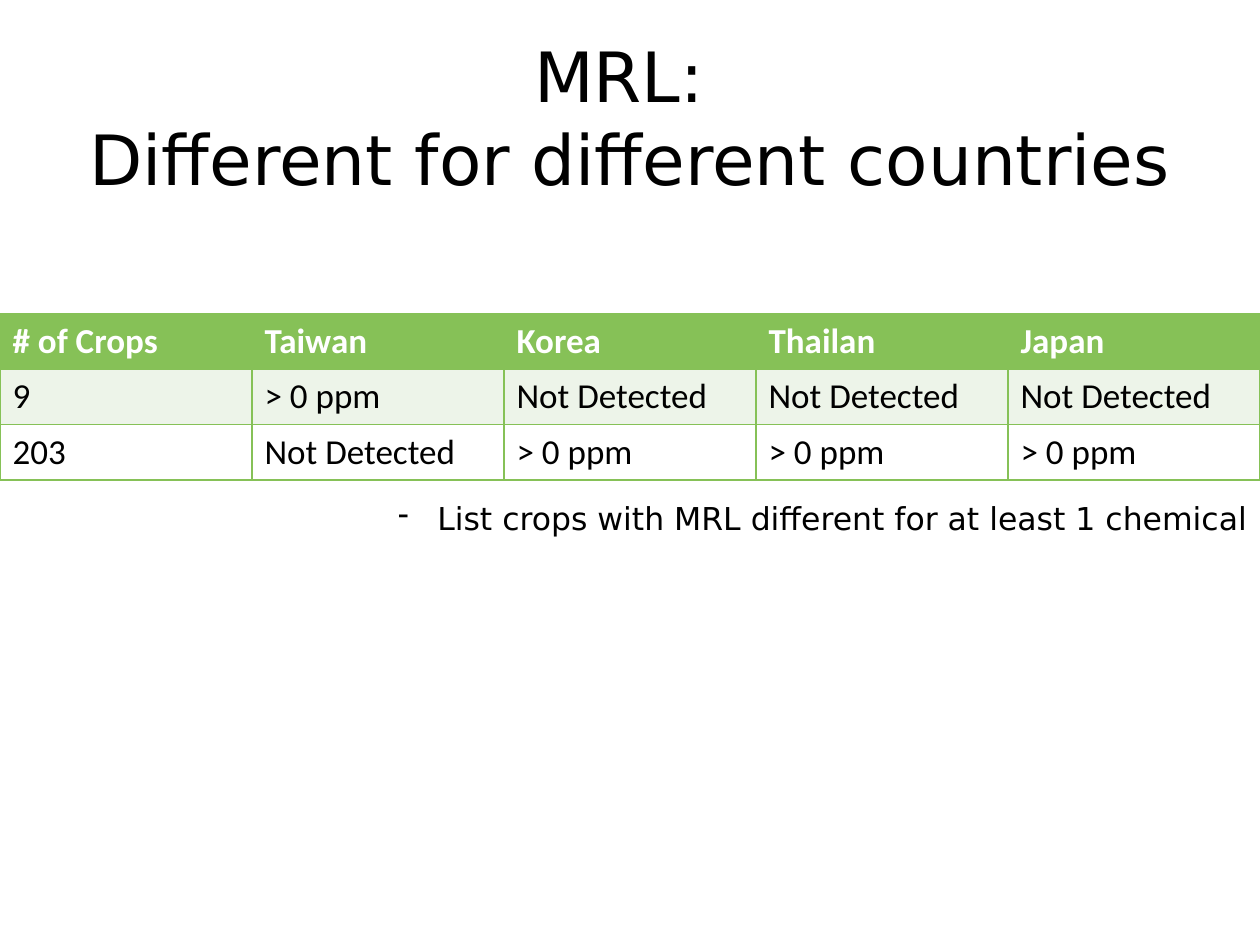
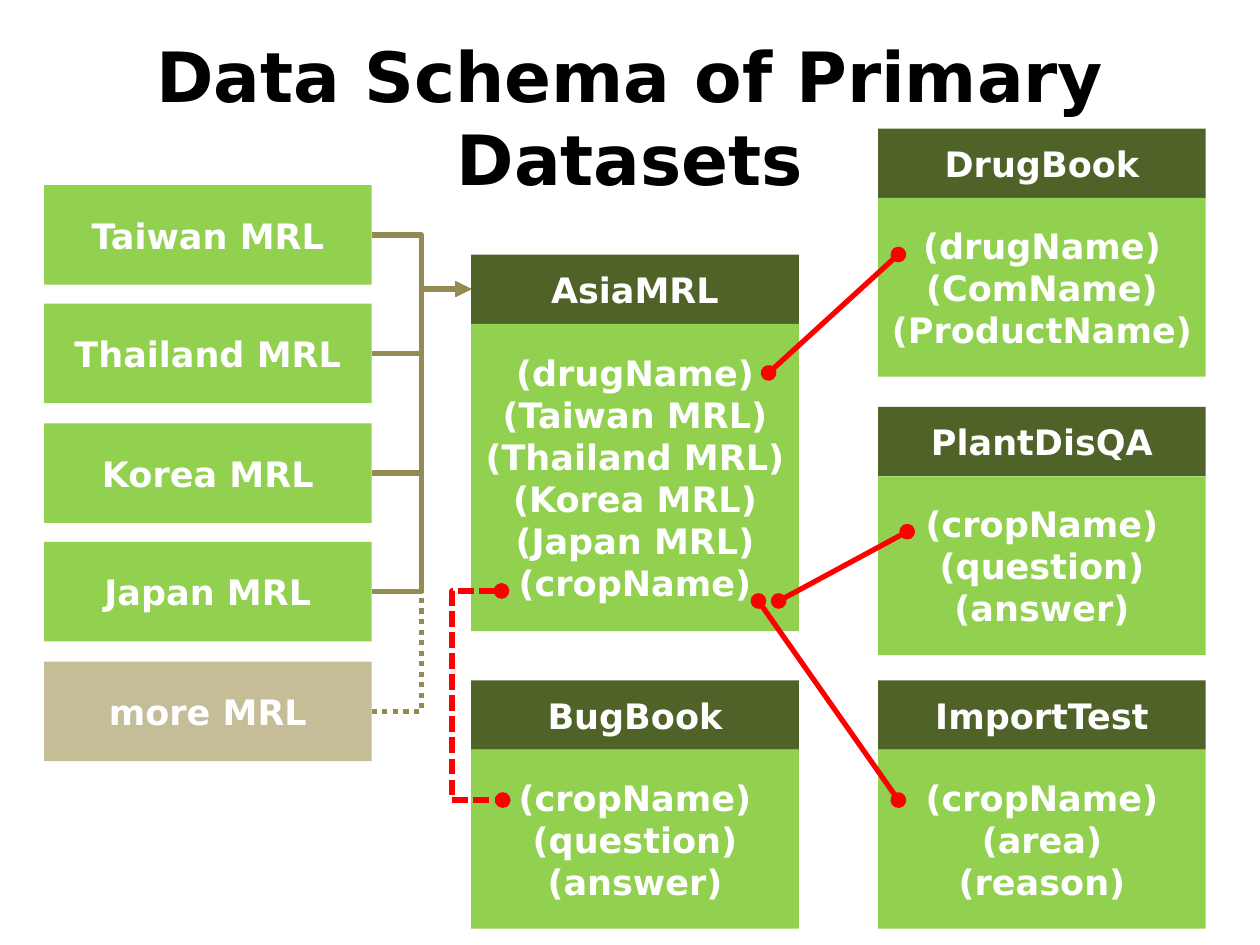
from lxml import etree
from pptx import Presentation
from pptx.dml.color import RGBColor
from pptx.enum.dml import MSO_LINE
from pptx.enum.shapes import MSO_CONNECTOR, MSO_SHAPE
from pptx.enum.text import MSO_ANCHOR, MSO_AUTO_SIZE, PP_ALIGN
from pptx.oxml.ns import qn
from pptx.util import Emu, Pt

EMU_PER_PX = 9144
SLIDE_WIDTH, SLIDE_HEIGHT = 1000, 750

BLACK = RGBColor(0x00, 0x00, 0x00)
WHITE = RGBColor(0xFF, 0xFF, 0xFF)
TABLE_GREEN = RGBColor(0x86, 0xC1, 0x57)
TABLE_BAND = RGBColor(0xED, 0xF4, 0xE9)
LIGHT_GREEN = RGBColor(0x92, 0xD0, 0x50)
DARK_GREEN = RGBColor(0x4F, 0x62, 0x28)
SAND = RGBColor(0xC4, 0xBD, 0x97)
BROWN = RGBColor(0x94, 0x8A, 0x54)
RED = RGBColor(0xFF, 0x00, 0x00)

LEFT, CENTER, RIGHT = PP_ALIGN.LEFT, PP_ALIGN.CENTER, PP_ALIGN.RIGHT
MIDDLE = MSO_ANCHOR.MIDDLE
FIT_SHAPE = MSO_AUTO_SIZE.SHAPE_TO_FIT_TEXT
RECTANGLE = MSO_SHAPE.RECTANGLE
STRAIGHT, ELBOW = MSO_CONNECTOR.STRAIGHT, MSO_CONNECTOR.ELBOW
DASHED, DOTTED = MSO_LINE.SQUARE_DOT, MSO_LINE.ROUND_DOT
LEFT_SIDE, RIGHT_SIDE = 1, 3

BOX_WIDTH = 260
HEADER_HEIGHT = 55
COUNTRY_LEFT, CENTER_LEFT, RIGHT_LEFT = 35, 374, 697
COUNTRY_TOP, COUNTRY_HEIGHT = 147, 79

CROP_ROWS = [
    ["# of Crops", "Taiwan", "Korea", "Thailan", "Japan"],
    ["9", "> 0 ppm", "Not Detected", "Not Detected", "Not Detected"],
    ["203", "Not Detected", "> 0 ppm", "> 0 ppm", "> 0 ppm"],
]
COUNTRIES = ["Taiwan", "Thailand", "Korea", "Japan", "more"]
ASIA_FIELDS = ["(drugName)", "(Taiwan MRL)", "(Thailand MRL)",
               "(Korea MRL)", "(Japan MRL)", "(cropName)"]
DATASETS = [
    (RIGHT_LEFT, 102, "DrugBook", ["(drugName)", "(ComName)", "(ProductName)"]),
    (RIGHT_LEFT, 323, "PlantDisQA", ["(cropName)", "(question)", "(answer)"]),
    (CENTER_LEFT, 540, "BugBook", ["(cropName)", "(question)", "(answer)"]),
    (RIGHT_LEFT, 540, "ImportTest", ["(cropName)", "(area)", "(reason)"]),
]
FIELD_LINKS = [
    ((610, 296), (713, 202)),
    ((618, 477), (720, 422)),
    ((602, 477), (713, 635)),
]


def px(*lengths):
    return [Emu(length * EMU_PER_PX) for length in lengths]


class Deck:
    text_font = "DejaVu Sans"
    table_font = "Calibri"

    def __init__(self):
        self.presentation = Presentation()
        self.presentation.slide_width, self.presentation.slide_height = px(
            SLIDE_WIDTH, SLIDE_HEIGHT)
        self.slide = None

    def add_slide(self):
        self.slide = self.presentation.slides.add_slide(
            self.presentation.slide_layouts[6])

    def fill_text(self, frame, lines, size, color, bold=False, align=CENTER,
                  font=text_font):
        frame.word_wrap = True
        for index, line in enumerate(lines):
            paragraph = frame.add_paragraph() if index else frame.paragraphs[0]
            paragraph.text = line
            paragraph.alignment = align
            paragraph.font.name = font
            paragraph.font.size = Pt(size)
            paragraph.font.bold = bold
            paragraph.font.color.rgb = color

    def title(self, text, bold=False):
        frame = self.slide.shapes.add_textbox(*px(50, 30, 900, 125)).text_frame
        frame.vertical_anchor = MIDDLE
        self.fill_text(frame, [text], 39.6, BLACK, bold)

    def bullet(self, text, left, top, width, height, indent):
        frame = self.slide.shapes.add_textbox(*px(left, top, width, height)).text_frame
        self.fill_text(frame, [text], 18, BLACK, align=RIGHT)
        frame.auto_size = FIT_SHAPE
        properties = frame.paragraphs[0]._p.get_or_add_pPr()
        properties.set("marL", str(indent * EMU_PER_PX))
        properties.set("indent", str(-indent * EMU_PER_PX))
        etree.SubElement(properties, qn("a:buChar"), char="-")

    def box(self, left, top, height, lines, fill):
        shape = self.slide.shapes.add_shape(RECTANGLE, *px(left, top, BOX_WIDTH, height))
        shape.shadow.inherit = False
        shape.fill.solid()
        shape.fill.fore_color.rgb = fill
        shape.line.fill.background()
        shape.text_frame.vertical_anchor = MIDDLE
        self.fill_text(shape.text_frame, lines, 20, WHITE, bold=True)
        return shape

    def dataset(self, left, top, name, fields, height=142):
        header = self.box(left, top, HEADER_HEIGHT, [name], DARK_GREEN)
        self.box(left, top + HEADER_HEIGHT, height, fields, LIGHT_GREEN)
        return header

    def connector(self, kind, start, end, color, head=None, tail=None, dash=None):
        connector = self.slide.shapes.add_connector(kind, *px(*start, *end))
        connector.line.color.rgb = color
        connector.line.width = Pt(3)
        if dash is not None:
            connector.line.dash_style = dash
        line = connector.get_or_add_ln()
        for tag, ending in (("a:headEnd", head), ("a:tailEnd", tail)):
            if ending:
                etree.SubElement(line, qn(tag), type=ending)
        etree.SubElement(connector.element.spPr, qn("a:effectLst"))
        return connector

    def merge_arrow(self, source, target, dash=None):
        arrow = self.connector(ELBOW, (0, 0), (0, 0), BROWN, tail="triangle", dash=dash)
        arrow.begin_connect(source, RIGHT_SIDE)
        arrow.end_connect(target, LEFT_SIDE)

    def field_link(self, start, end):
        self.connector(STRAIGHT, start, end, RED, "oval", "oval")

    def bracket_link(self, start, end, bend_x):
        link = self.connector(ELBOW, start, end, RED, "oval", "oval", DASHED)
        bend = (bend_x - start[0]) * 100000 // (end[0] - start[0])
        guides = link.element.spPr.find(qn("a:prstGeom")).find(qn("a:avLst"))
        etree.SubElement(guides, qn("a:gd"), name="adj1", fmla=f"val {bend}")

    def cell_borders(self, cell):
        properties = cell._tc.get_or_add_tcPr()
        for side in ("L", "R", "T", "B"):
            border = etree.SubElement(properties, qn(f"a:ln{side}"), w=str(Pt(0.96)))
            fill = etree.SubElement(border, qn("a:solidFill"))
            etree.SubElement(fill, qn("a:srgbClr"), val=str(TABLE_GREEN))

    def table(self, rows, top, row_height):
        table = self.slide.shapes.add_table(
            len(rows), len(rows[0]),
            *px(0, top, SLIDE_WIDTH, row_height * len(rows))).table
        table.horz_banding = False
        for row_index, (row, fill) in enumerate(
                zip(rows, (TABLE_GREEN, TABLE_BAND, WHITE))):
            is_header = row_index == 0
            for column_index, text in enumerate(row):
                cell = table.cell(row_index, column_index)
                self.cell_borders(cell)
                cell.fill.solid()
                cell.fill.fore_color.rgb = fill
                self.fill_text(cell.text_frame, [text], 20,
                               WHITE if is_header else BLACK,
                               is_header, LEFT, self.table_font)


def build_crop_slide(deck):
    deck.add_slide()
    deck.title("MRL: \vDifferent for different countries")
    deck.table(CROP_ROWS, 249, 44)
    deck.bullet("List crops with MRL different for at least 1 chemical",
                217, 391, 783, 40, 31)


def build_schema_slide(deck):
    deck.add_slide()
    deck.title("Data Schema of Primary Datasets", bold=True)
    asia_header = deck.dataset(CENTER_LEFT, 202, "AsiaMRL", ASIA_FIELDS, 244)
    for index, country in enumerate(COUNTRIES):
        is_open = country == "more"
        source = deck.box(COUNTRY_LEFT, COUNTRY_TOP + 189 * index // 2, COUNTRY_HEIGHT,
                          [f"{country} MRL"], SAND if is_open else LIGHT_GREEN)
        deck.merge_arrow(source, asia_header, DOTTED if is_open else None)
    for dataset in DATASETS:
        deck.dataset(*dataset)
    for start, end in FIELD_LINKS:
        deck.field_link(start, end)
    deck.bracket_link((398, 469), (399, 635), 358)


def main():
    deck = Deck()
    build_crop_slide(deck)
    build_schema_slide(deck)
    deck.presentation.save("out.pptx")


if __name__ == "__main__":
    main()
